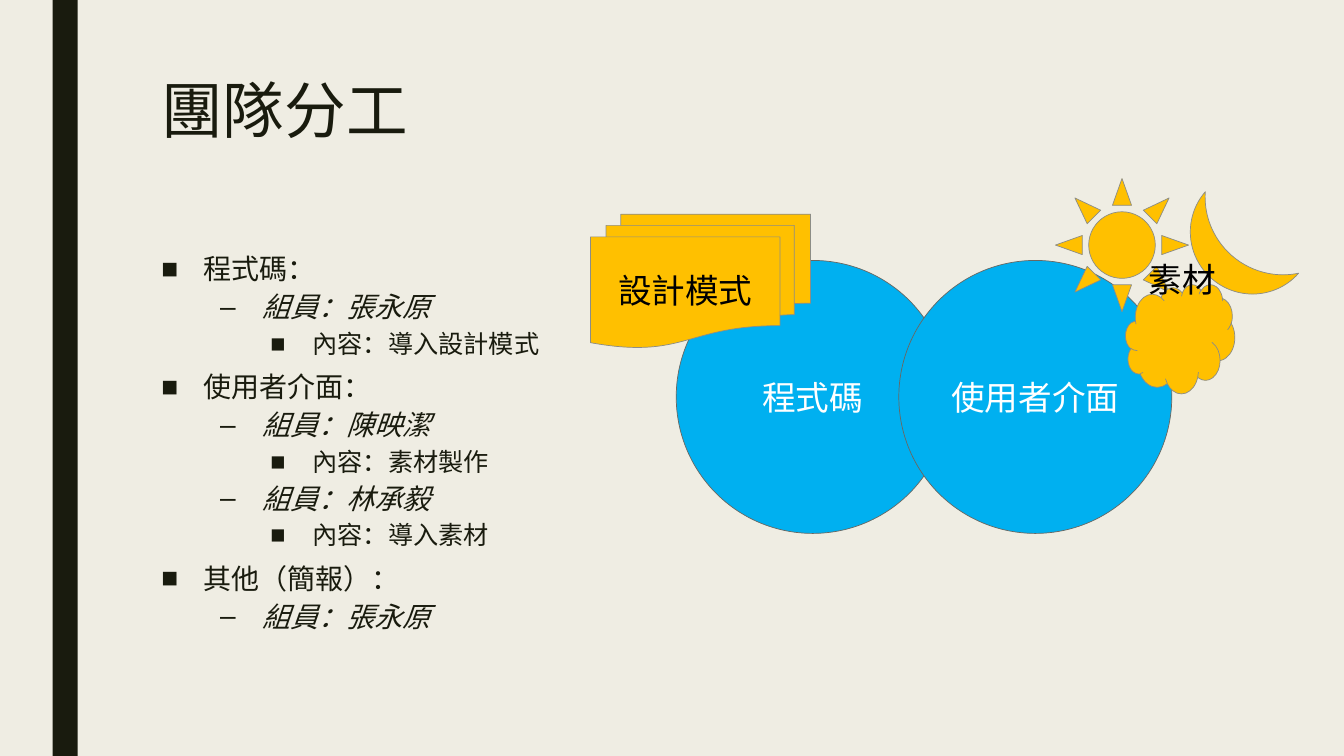
from dataclasses import dataclass
from typing import Optional

from lxml import etree
from pptx import Presentation
from pptx.dml.color import RGBColor
from pptx.enum.shapes import MSO_SHAPE
from pptx.enum.text import MSO_ANCHOR, MSO_AUTO_SIZE, PP_ALIGN
from pptx.oxml.ns import qn
from pptx.util import Emu, Inches, Pt

RECT = MSO_SHAPE.RECTANGLE
OVAL = MSO_SHAPE.OVAL
PAGES = MSO_SHAPE.FLOWCHART_MULTIDOCUMENT
SUN = MSO_SHAPE.SUN
MOON = MSO_SHAPE.MOON
CLOUD = MSO_SHAPE.CLOUD
TOP = MSO_ANCHOR.TOP
MIDDLE = MSO_ANCHOR.MIDDLE
FIXED = MSO_AUTO_SIZE.NONE
LEFT = PP_ALIGN.LEFT
CENTER = PP_ALIGN.CENTER

CREAM = RGBColor(0xEF, 0xED, 0xE3)
INK = RGBColor(0x19, 0x1B, 0x0E)
BLUE = RGBColor(0x00, 0xB0, 0xF0)
GOLD = RGBColor(0xFF, 0xC0, 0x00)
SLATE = RGBColor(0x68, 0x68, 0x63)
GRAY = RGBColor(0x8C, 0x8D, 0x86)
WHITE = RGBColor(0xFF, 0xFF, 0xFF)
BLACK = RGBColor(0x00, 0x00, 0x00)

WIDTH, HEIGHT = Inches(13.333), Inches(7.5)
COLS, ROWS = 160, 90


@dataclass(frozen=True)
class Box:
    col: float
    row: float
    wide: float
    high: float

    def place(self) -> tuple[Emu, Emu, Emu, Emu]:
        return (Emu(round(self.col * WIDTH / COLS)), Emu(round(self.row * HEIGHT / ROWS)),
                Emu(round(self.wide * WIDTH / COLS)), Emu(round(self.high * HEIGHT / ROWS)))


@dataclass(frozen=True)
class Figure:
    kind: MSO_SHAPE
    box: Box
    fill: RGBColor
    line: Optional[RGBColor] = None
    text: str = ""
    ink: RGBColor = BLACK
    turn: float = 0


@dataclass(frozen=True)
class Level:
    margin: float
    mark: str
    size: int
    before: int
    slant: bool = False


LEVELS = (
    Level(5, "■", 20, 10),
    Level(12, "–", 20, 5, True),
    Level(18, "■", 18, 5),
)
HANG = 5

ITEMS = (
    (0, "程式碼："),
    (1, "組員：張永原"),
    (2, "內容：導入設計模式"),
    (0, "使用者介面："),
    (1, "組員：陳映潔"),
    (2, "內容：素材製作"),
    (1, "組員：林承毅"),
    (2, "內容：導入素材"),
    (0, "其他（簡報）："),
    (1, "組員：張永原"),
)

BAR = Figure(RECT, Box(6.25, 0, 3, 90), INK)
PARTS = (
    Figure(OVAL, Box(80.5, 31, 32.5, 32.5), BLUE, SLATE, "程式碼", WHITE),
    Figure(OVAL, Box(107, 31, 32.5, 32.5), BLUE, SLATE, "使用者介面", WHITE),
    Figure(PAGES, Box(70.3, 25.5, 26.2, 15.9), GOLD, GRAY, "設計模式"),
)
ASSETS = (
    Figure(SUN, Box(125.65, 21.25, 15.85, 15.85), GOLD, GRAY),
    Figure(MOON, Box(143, 23.05, 7.3, 14.75), GOLD, GRAY, turn=311.1),
    Figure(CLOUD, Box(134, 33.85, 13, 13), GOLD, GRAY),
)


def write(para, text: str, *, size: float = 24, font: str = "Karla",
          ink: RGBColor = BLACK, slant: bool = False, align: PP_ALIGN = LEFT) -> None:
    para.alignment = align
    run = para.add_run()
    run.text = text
    run.font.size = Pt(size)
    run.font.name = font
    run.font.italic = slant
    run.font.color.rgb = ink


def draw(shapes, figure: Figure) -> None:
    shape = shapes.add_shape(figure.kind, *figure.box.place())
    shape.shadow.inherit = False
    shape.rotation = figure.turn
    shape.fill.solid()
    shape.fill.fore_color.rgb = figure.fill
    if figure.line is None:
        shape.line.fill.background()
    else:
        shape.line.color.rgb = figure.line
        shape.line.width = Pt(0.5)
    if figure.text:
        frame = shape.text_frame
        frame.vertical_anchor = MIDDLE
        write(frame.paragraphs[0], figure.text, ink=figure.ink, align=CENTER)


def settle(holder, box: Box):
    holder.left, holder.top, holder.width, holder.height = box.place()
    frame = holder.text_frame
    frame.word_wrap = True
    frame.auto_size = FIXED
    frame.vertical_anchor = TOP
    return frame


def mark(para, level: Level) -> None:
    props = para._p.get_or_add_pPr()
    props.set("marL", str(round(level.margin * WIDTH / COLS)))
    props.set("indent", str(round(-HANG * WIDTH / COLS)))
    etree.SubElement(props, qn("a:buFont")).set("typeface", "Arial")
    etree.SubElement(props, qn("a:buChar")).set("char", level.mark)


def outline(frame) -> None:
    for index, (depth, text) in enumerate(ITEMS):
        para = frame.add_paragraph() if index else frame.paragraphs[0]
        level = LEVELS[depth]
        para.level = depth
        para.line_spacing = 0.84
        para.space_before = Pt(level.before)
        para.space_after = Pt(2)
        write(para, text, size=level.size, font="Arial", ink=INK, slant=level.slant)
        mark(para, level)


def main() -> None:
    deck = Presentation()
    deck.slide_width, deck.slide_height = WIDTH, HEIGHT
    slide = deck.slides.add_slide(deck.slide_layouts[1])
    slide.background.fill.solid()
    slide.background.fill.fore_color.rgb = CREAM
    shapes = slide.shapes
    draw(shapes, BAR)

    title = settle(shapes.title, Box(18, 9, 126, 19.5)).paragraphs[0]
    title.line_spacing = 0.89
    write(title, "團隊分工", size=44, ink=INK)
    outline(settle(slide.placeholders[1], Box(18, 30, 126, 47)))

    for part in PARTS:
        draw(shapes, part)
    group = shapes.add_group_shape()
    for asset in ASSETS:
        draw(group.shapes, asset)

    label = shapes.add_textbox(*Box(135.6, 30.25, 11.65, 6).place()).text_frame
    label.word_wrap = True
    write(label.paragraphs[0], "素材")
    deck.save("out.pptx")


if __name__ == "__main__":
    main()
